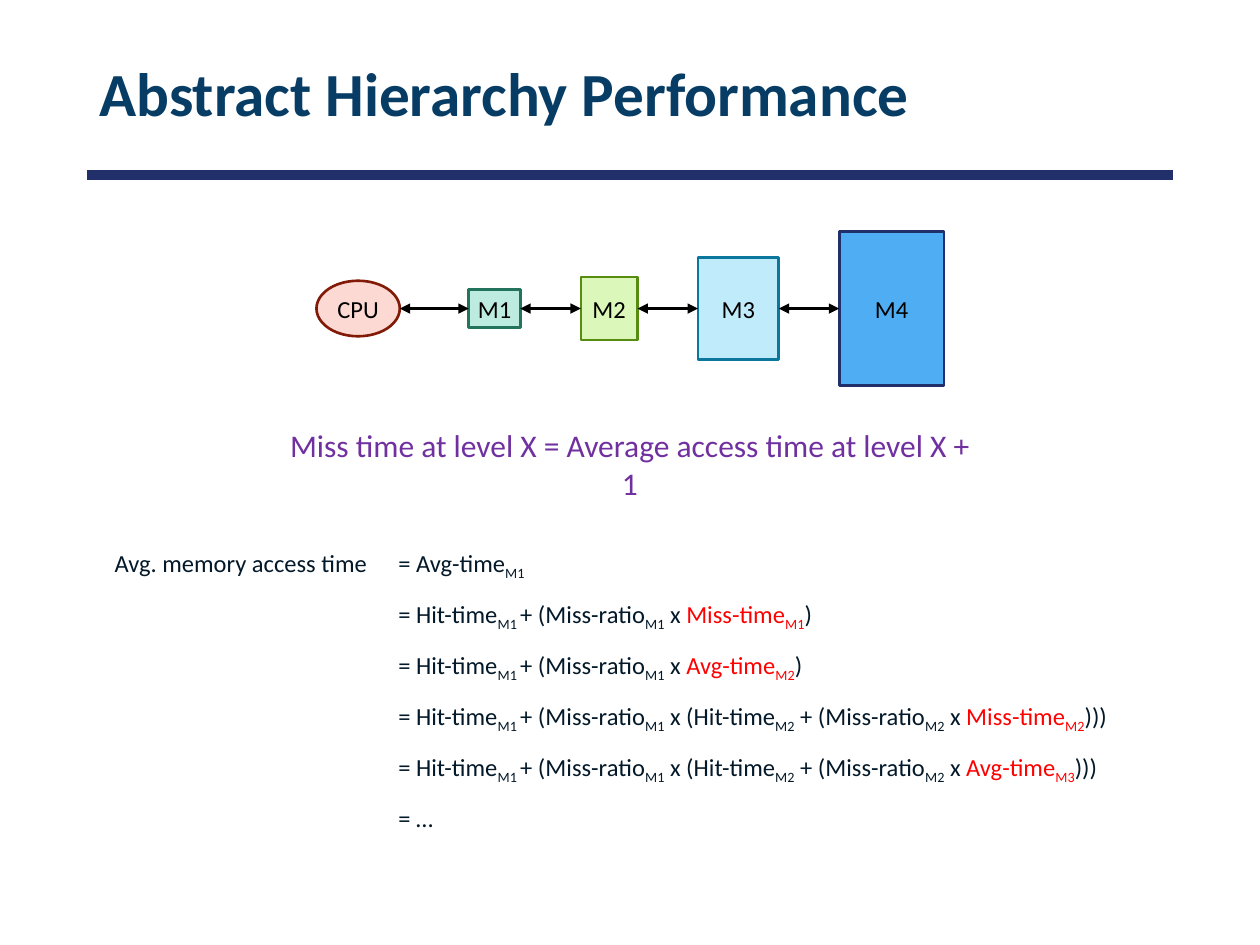
from lxml import etree
from pptx import Presentation
from pptx.dml.color import RGBColor
from pptx.enum import shapes, text
from pptx.oxml.ns import qn
from pptx.util import Cm, Pt

FONT = "Calibri"
NAVY, INK, RED = "21306A", "031828", "FF0000"
AXIS = 6.22
INDENT = 5.72

NODES = [
    ("CPU", 6.38, 1.68, 1.12, "FCD9D3", "821A08"),
    ("M1", 9.45, 1.04, 0.76, "BEEBDF", "23735D"),
    ("M2", 11.71, 1.14, 1.27, "DCF7BA", "568D11"),
    ("M3", 14.07, 1.63, 2.06, "BFEBFA", "0C779D"),
    ("M4", 16.92, 2.11, 3.1, "4FADF3", NAVY),
]

ONE = "= Hit-time_M1 _+ (Miss-ratio_M1_ x "
TWO = ONE + "(Hit-time_M2_ + (Miss-ratio_M2_ x "
STEPS = [
    "Avg. memory access time\t= Avg-time_M1",
    ONE + "*Miss-time_M1*)",
    ONE + "*Avg-time_M2*)",
    TWO + "*Miss-time_M2*)))",
    TWO + "*Avg-time_M3*)))",
    "= …",
]


def rgb(code):
    """Turn a hex string into a colour."""
    return RGBColor.from_string(code)


def add_run(para, words, size, color, bold=False, sub=False):
    """Add one formatted run to a paragraph."""
    run = para.add_run()
    run.text = words
    font = run.font
    font.name, font.size, font.bold = FONT, Pt(size), bold
    font.color.rgb = rgb(color)
    if sub:
        run._r.get_or_add_rPr().set("baseline", "-25000")


def add_box(slide, left, top, width, height):
    """Add a wrapping text box and return its frame."""
    box = slide.shapes.add_textbox(Cm(left), Cm(top), Cm(width), Cm(height))
    box.text_frame.word_wrap = True
    return box.text_frame


def add_title(slide, words):
    """Place and fill the title placeholder."""
    title = slide.shapes.title
    title.left, title.top = Cm(1.75), Cm(0.58)
    title.width, title.height = Cm(21.9), Cm(2.74)
    frame = title.text_frame
    frame.vertical_anchor = text.MSO_ANCHOR.MIDDLE
    para = frame.paragraphs[0]
    para.alignment, para.line_spacing = text.PP_ALIGN.LEFT, 0.9
    add_run(para, words, 35, "073C65", bold=True)


def add_line(slide, start, end, y, color, width, heads=False):
    """Draw a level line, with arrowheads at both ends if asked."""
    line = slide.shapes.add_connector(
        shapes.MSO_CONNECTOR.STRAIGHT, Cm(start), Cm(y), Cm(end), Cm(y))
    line.line.color.rgb = rgb(color)
    line.line.width = Pt(width)
    if heads:
        for tag in ("a:headEnd", "a:tailEnd"):
            etree.SubElement(line.line._ln, qn(tag), type="triangle")
    etree.SubElement(line._element.spPr, qn("a:effectLst"))


def add_node(slide, name, left, width, height, fill, edge):
    """Draw one level of the hierarchy, centred on the axis."""
    kind = shapes.MSO_SHAPE.OVAL if name == "CPU" else shapes.MSO_SHAPE.RECTANGLE
    node = slide.shapes.add_shape(
        kind, Cm(left), Cm(AXIS - height / 2), Cm(width), Cm(height))
    node.shadow.inherit = False
    node.fill.solid()
    node.fill.fore_color.rgb = rgb(fill)
    node.line.color.rgb = rgb(edge)
    node.line.width = Pt(1.5)
    frame = node.text_frame
    frame.word_wrap = False
    frame.margin_left = frame.margin_right = 0
    frame.vertical_anchor = text.MSO_ANCHOR.MIDDLE
    para = frame.paragraphs[0]
    para.alignment = text.PP_ALIGN.CENTER
    add_run(para, name, 14, "000000")


def add_chain(slide):
    """Draw the levels and the arrows that join them."""
    for node in NODES:
        add_node(slide, *node)
    for near, far in zip(NODES, NODES[1:]):
        add_line(slide, near[1] + near[2], far[1], AXIS, "000000", 1.5, heads=True)


def add_rule(slide, words):
    """Add the centred statement under the diagram."""
    frame = add_box(slide, 5.41, 8.84, 14.58, 1.02)
    frame.auto_size = text.MSO_AUTO_SIZE.SHAPE_TO_FIT_TEXT
    frame.vertical_anchor = text.MSO_ANCHOR.MIDDLE
    para = frame.paragraphs[0]
    para.alignment = text.PP_ALIGN.CENTER
    add_run(para, words, 18, "7030A0")


def add_steps(slide):
    """Write the derivation; * marks red parts and _ marks subscripts."""
    frame = add_box(slide, 2.06, 10.92, 21.29, 6.35)
    for row, step in enumerate(STEPS):
        para = frame.add_paragraph() if row else frame.paragraphs[0]
        para.space_before = Pt(10)
        props = para._p.get_or_add_pPr()
        props.set("marL", str(Cm(INDENT)))
        props.set("indent", str(0 if row else -Cm(INDENT)))
        for i, part in enumerate(step.split("*")):
            for j, words in enumerate(part.split("_")):
                if words:
                    add_run(para, words, 14, RED if i % 2 else INK, sub=j % 2 == 1)


def main():
    """Build and save the slide."""
    deck = Presentation()
    deck.slide_width, deck.slide_height = Cm(25.4), Cm(19.05)
    slide = deck.slides.add_slide(deck.slide_layouts[5])
    add_line(slide, 1.75, 23.65, 3.53, NAVY, 6)
    add_title(slide, "Abstract Hierarchy Performance")
    add_steps(slide)
    add_rule(slide, "Miss time at level X = Average access time at level X + 1")
    add_chain(slide)
    deck.save("out.pptx")


if __name__ == "__main__":
    main()
